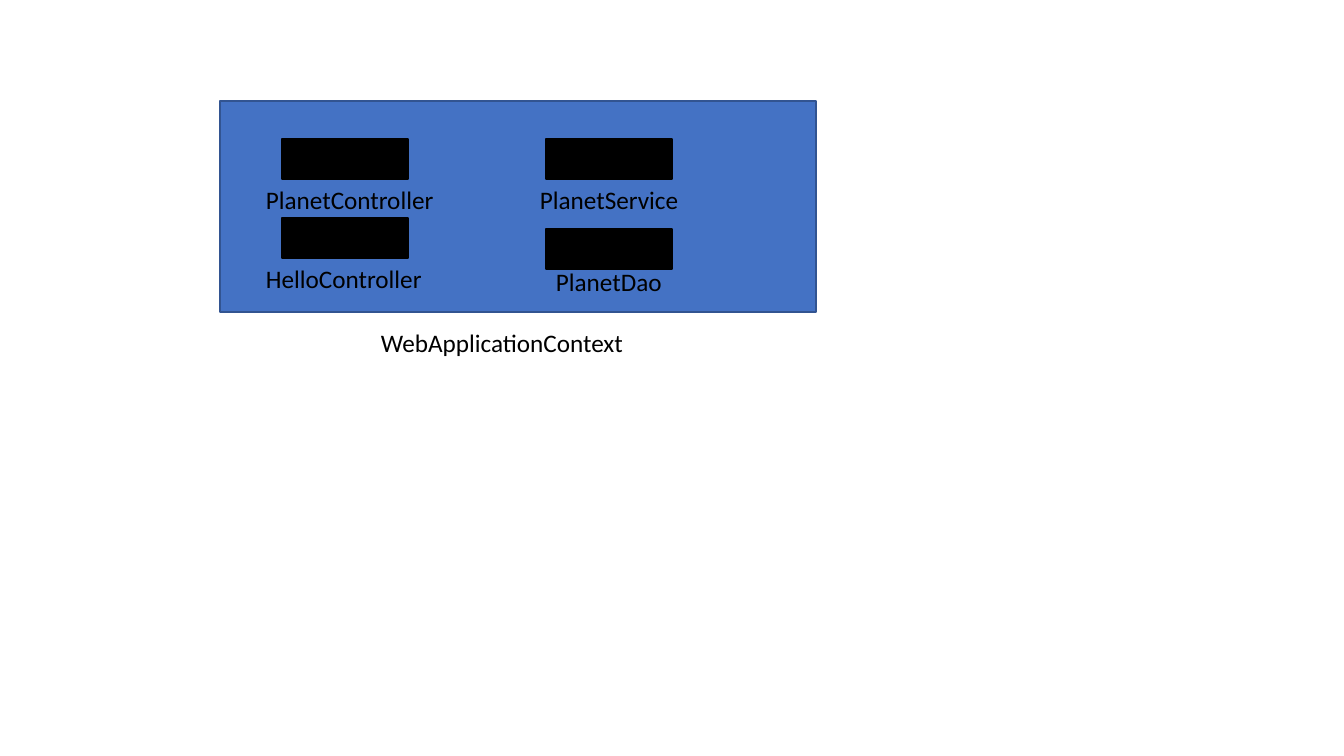
from pptx import Presentation
from pptx.dml.color import RGBColor
from pptx.enum.shapes import MSO_SHAPE
from pptx.util import Pt

BLUE = RGBColor(0x44, 0x72, 0xC4)
NAVY = RGBColor(0x32, 0x54, 0x91)
BLACK = RGBColor(0, 0, 0)

SCALE = 914400 / 100.8
FRAME = (220, 101, 596, 211)
TITLE = ("WebApplicationContext", 371, 322, 474)
BEAN_W, BEAN_H = 126, 40
LABEL_W, LABEL_H = 212, 40

# name, bean left and top, label left and top
BEANS = [
    ("PlanetController", (282, 139), (256, 179)),
    ("PlanetService", (546, 139), (530, 179)),
    ("HelloController", (282, 218), (256, 258)),
    ("PlanetDao", (546, 229), (546, 261)),
]


def emu(*sizes):
    """Turn pixels into EMU."""
    return [round(size * SCALE) for size in sizes]


def add_box(slide, area, fill, edge):
    """Add a plain filled rectangle."""
    box = slide.shapes.add_shape(MSO_SHAPE.RECTANGLE, *emu(*area))
    box.shadow.inherit = False
    box.fill.solid()
    box.fill.fore_color.rgb = fill
    box.line.color.rgb = edge
    box.line.width = Pt(1)


def add_label(slide, text, left, top, width):
    """Add one line of black text."""
    label = slide.shapes.add_textbox(*emu(left, top, width, LABEL_H))
    frame = label.text_frame
    frame.word_wrap = True
    frame.text = text
    font = frame.paragraphs[0].font
    font.name = "Calibri"
    font.size = Pt(18)
    font.color.rgb = BLACK


deck = Presentation()
deck.slide_width, deck.slide_height = emu(1344, 756)
slide = deck.slides.add_slide(deck.slide_layouts[6])

add_box(slide, FRAME, BLUE, NAVY)
add_label(slide, *TITLE)
for name, bean, label in BEANS:
    add_box(slide, (*bean, BEAN_W, BEAN_H), BLACK, BLACK)
    add_label(slide, name, *label, LABEL_W)

deck.save("out.pptx")
